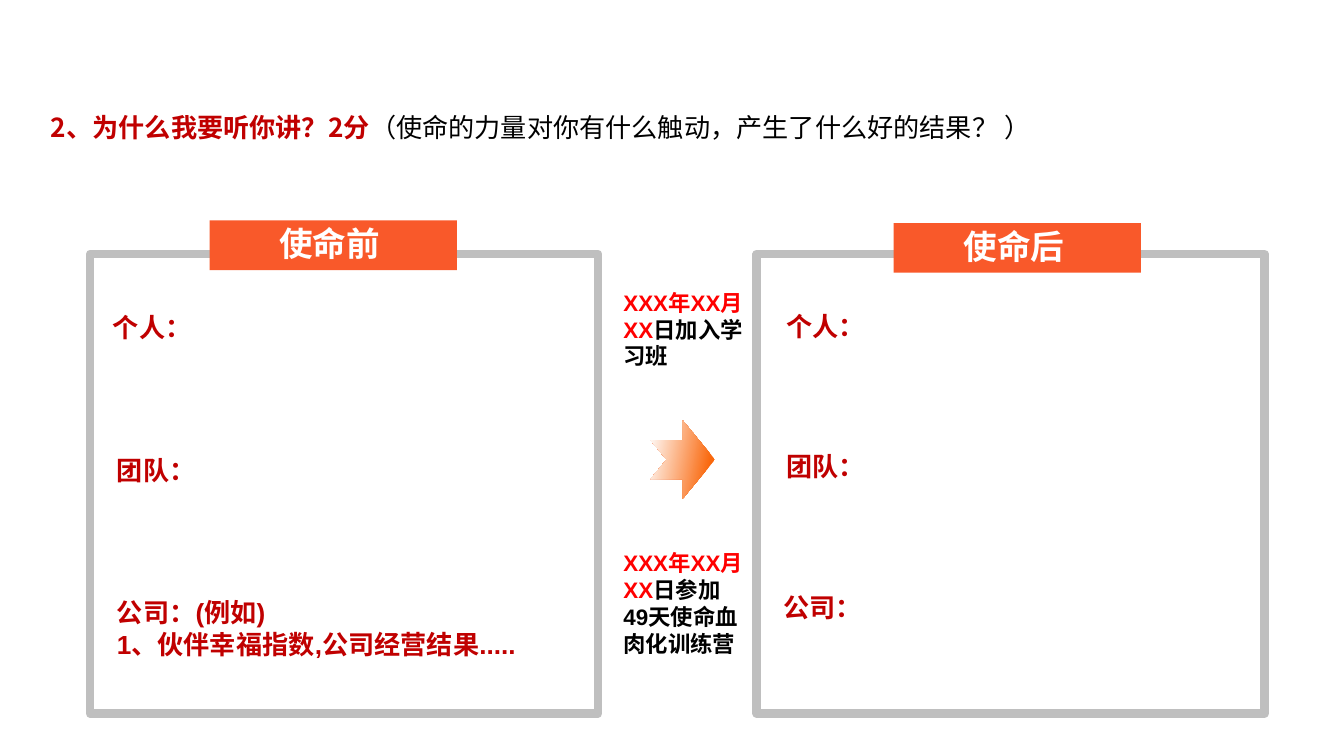
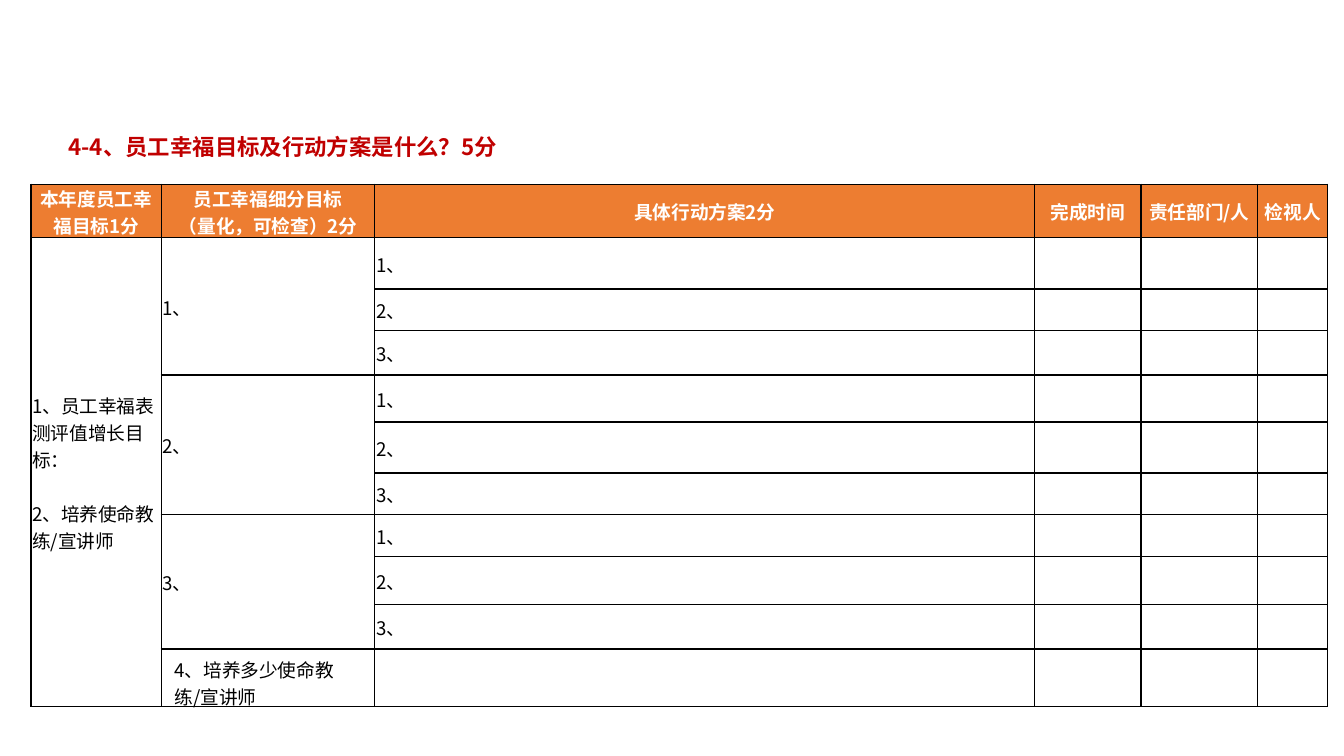
from dataclasses import dataclass, replace
from typing import NamedTuple

from lxml import etree
from pptx import Presentation, util as u
from pptx.dml.color import RGBColor
from pptx.enum import shapes, text
from pptx.oxml import ns

STEP = u.Inches(0.1)
COLUMNS, ROWS = 100, 56.25
SANS, ARIAL = "Noto Sans CJK SC", "Arial"
CRIMSON, RED, BLACK, WHITE = "C00000", "FF0000", "000000", "FFFFFF"
BANNER, FRAME, HEADER, ARROW = "F9592A", "BFBFBF", "ED7D31", "F9680D"
THIN = 0.5


class Box(NamedTuple):
    column: float
    row: float
    columns: float
    rows: float

    def lengths(self) -> list[int]:
        return [round(value * STEP) for value in self]


@dataclass(frozen=True)
class Style:
    size: float
    color: str
    bold: bool = True
    font: str = SANS


class Span(NamedTuple):
    words: str
    style: Style


class Label(NamedTuple):
    box: Box
    lines: list[list[Span]]
    inset: float = 1.0


class Panel(NamedTuple):
    frame: Box
    banner: Box
    title: str


TITLE = Style(14, CRIMSON)
BANNER_TEXT = Style(18, WHITE)
TOPIC = Style(14, CRIMSON, font=ARIAL)
DATE = Style(12, RED, font=ARIAL)
EVENT = replace(DATE, color=BLACK)
HEAD = Style(10, WHITE)
BODY = Style(10, BLACK, bold=False)

PANELS = [
    Panel(Box(6.7, 18.9, 37.8, 34.2), Box(15.6, 16.4, 18.4, 3.7), "使命前"),
    Panel(Box(56.3, 18.9, 37.8, 34.2), Box(66.5, 16.6, 18.4, 3.7), "使命后"),
]
TOPICS = [
    (Box(7.9, 22.7, 35.4, 3.3), ["个人："]),
    (Box(8.2, 33.3, 35.8, 3.3), ["团队："]),
    (Box(8.2, 43.9, 35.4, 8), ["公司：(例如)", "1、伙伴幸福指数,公司经营结果....."]),
    (Box(58, 22.6, 36.1, 3.3), ["个人："]),
    (Box(58, 33, 35.4, 3.3), ["团队："]),
    (Box(57.8, 43.5, 35.4, 3.3), ["公司："]),
]
EVENTS = [
    (Box(45.4, 21, 10.9, 7.1), "日加入学习班"),
    (Box(45.4, 40.4, 10.9, 11.1), "日参加49天使命血肉化训练营"),
]

TABLE_COLUMNS = [9.7, 15.9, 49.1, 7.9, 8.7, 5.2]
TABLE_ROWS = [4, 3.8, 3.1, 3.3, 3.5, 3.8, 3.1, 3.1, 3.6, 3.3, 4.3]
HEADINGS = [
    "本年度员工幸福目标1分",
    "员工幸福细分目标\n（量化，可检查）2分",
    "具体行动方案2分",
    "完成时间",
    "责任部门/人",
    "检视人",
]
GOALS = "1、员工幸福表测评值增长目标：\n2、培养使命教练/宣讲师"
COACHES = "4、培养多少使命教练/宣讲师"
GROUP = 3


def rgb(value: str) -> RGBColor:
    return RGBColor.from_string(value)


def format_run(run, style: Style) -> None:
    font = run.font
    font.size, font.bold, font.name = u.Pt(style.size), style.bold, style.font
    font.color.rgb = rgb(style.color)
    east_asian = etree.SubElement(run._r.get_or_add_rPr(), ns.qn("a:ea"))
    east_asian.set("typeface", SANS)


def write(paragraph, spans: list[Span]) -> None:
    paragraph.text = spans[0].words
    for span in spans[1:]:
        paragraph.add_run().text = span.words
    for run, span in zip(paragraph.runs, spans):
        format_run(run, span.style)


def add_label(container, label: Label):
    frame = container.add_textbox(*label.box.lengths()).text_frame
    frame.word_wrap = True
    frame.auto_size = text.MSO_AUTO_SIZE.SHAPE_TO_FIT_TEXT
    frame.margin_left = frame.margin_right = round(label.inset * STEP)
    frame.margin_top = frame.margin_bottom = round(0.5 * STEP)
    for index, spans in enumerate(label.lines):
        write(frame.add_paragraph() if index else frame.paragraphs[0], spans)
    return frame.paragraphs[0]


def add_plain_shape(container, kind, box: Box):
    shape = container.add_shape(kind, *box.lengths())
    shape.shadow.inherit = False
    shape.line.fill.background()
    return shape


def add_panel(slide, panel: Panel) -> None:
    frame = add_plain_shape(slide.shapes, shapes.MSO_SHAPE.RECTANGLE, panel.frame)
    frame.fill.background()
    frame.line.color.rgb = rgb(FRAME)
    frame.line.width = u.Pt(4.5)
    group = slide.shapes.add_group_shape().shapes
    banner = add_plain_shape(group, shapes.MSO_SHAPE.RECTANGLE, panel.banner)
    banner.fill.solid()
    banner.fill.fore_color.rgb = rgb(BANNER)
    caption = Box(panel.banner.column + 4.2, panel.banner.row - 0.3, 14.9, 4)
    add_label(group, Label(caption, [[Span(panel.title, BANNER_TEXT)]]))


def add_arrow(slide, box: Box) -> None:
    arrow = add_plain_shape(slide.shapes, shapes.MSO_SHAPE.NOTCHED_RIGHT_ARROW, box)
    arrow.element.spPr.xfrm.set("flipV", "1")
    arrow.fill.gradient()
    arrow.fill.gradient_angle = 190
    stops = [(0.14, ARROW), (1, WHITE)]
    for stop, (position, color) in zip(arrow.fill.gradient_stops, stops):
        stop.position = position
        stop.color.rgb = rgb(color)


def add_borders(cell) -> None:
    properties = cell._tc.get_or_add_tcPr()
    for index, side in enumerate(("lnL", "lnR", "lnT", "lnB")):
        line = etree.Element(ns.qn(f"a:{side}"), w=str(u.Pt(0.75)))
        fill = etree.SubElement(line, ns.qn("a:solidFill"))
        etree.SubElement(fill, ns.qn("a:srgbClr"), val=BLACK)
        properties.insert(index, line)


def fill_cell(cell, words: str, style: Style) -> None:
    cell.margin_left = cell.margin_right = cell.margin_top = u.Inches(0.01)
    cell.margin_bottom = 0
    cell.vertical_anchor = text.MSO_ANCHOR.MIDDLE
    if style is HEAD:
        cell.fill.solid()
        cell.fill.fore_color.rgb = rgb(HEADER)
    else:
        cell.fill.background()
    add_borders(cell)
    frame = cell.text_frame
    frame.text = words
    for index, paragraph in enumerate(frame.paragraphs):
        if style is HEAD:
            paragraph.alignment = text.PP_ALIGN.CENTER
        elif index:
            paragraph.space_before = u.Pt(14.5)
        for run in paragraph.runs:
            format_run(run, style)
        if not paragraph.runs:
            end = etree.SubElement(paragraph._p, ns.qn("a:endParaRPr"))
            end.set("sz", str(style.size * 100))


def body_words(row: int, column: int) -> str:
    group, item = divmod(row - 1, GROUP)
    last = row == len(TABLE_ROWS) - 1
    if column == 0:
        return GOALS if row == 1 else ""
    if column == 1:
        if last:
            return COACHES
        return f"{group + 1}、" if item == 0 else ""
    return f"{item + 1}、" if column == 2 and not last else ""


def add_plan_table(slide) -> None:
    box = Box(2.3, 13.7, sum(TABLE_COLUMNS), sum(TABLE_ROWS))
    size = len(TABLE_ROWS), len(TABLE_COLUMNS)
    table = slide.shapes.add_table(*size, *box.lengths()).table
    table.first_row = table.horz_banding = False
    for column, width in zip(table.columns, TABLE_COLUMNS):
        column.width = round(width * STEP)
    for row, height in zip(table.rows, TABLE_ROWS):
        row.height = round(height * STEP)
    for row in range(size[0]):
        for column in range(size[1]):
            words = body_words(row, column) if row else HEADINGS[column]
            fill_cell(table.cell(row, column), words, BODY if row else HEAD)
    last = size[0] - 1
    table.cell(1, 0).merge(table.cell(last, 0))
    for first in range(1, last, GROUP):
        table.cell(first, 1).merge(table.cell(first + GROUP - 1, 1))
    coaches = table.cell(last, 1)
    coaches.vertical_anchor = text.MSO_ANCHOR.TOP
    coaches.margin_left = coaches.margin_right = STEP
    coaches.margin_top = round(THIN * STEP)


def build_mission_slide(slide) -> None:
    title = [
        Span("2、为什么我要听你讲？2分", TITLE),
        Span("（使命的力量对你有什么触动，产生了什么好的结果？ ）",
             replace(TITLE, color=BLACK, bold=False)),
    ]
    add_label(slide.shapes, Label(Box(2.8, 7.6, 92.1, 4), [title])).line_spacing = 1.1
    for panel in PANELS:
        add_panel(slide, panel)
    add_arrow(slide, Box(48.4, 31.3, 4.8, 5.8))
    for box, lines in TOPICS:
        spans = [[Span(line, TOPIC)] for line in lines]
        add_label(slide.shapes, Label(box, spans, THIN))
    for box, event in EVENTS:
        spans = [Span("XXX年XX月XX", DATE), Span(event, EVENT)]
        add_label(slide.shapes, Label(box, [spans]))


def build_plan_slide(slide) -> None:
    title = Span("4-4、员工幸福目标及行动方案是什么？5分", replace(TITLE, size=12))
    paragraph = add_label(slide.shapes, Label(Box(4.6, 8.4, 50, 4), [[title]], THIN))
    paragraph.alignment = text.PP_ALIGN.JUSTIFY
    paragraph.line_spacing = 1.5
    properties = paragraph._p.get_or_add_pPr()
    properties.set("marL", str(u.Inches(0.38)))
    properties.set("indent", str(-u.Inches(0.38)))
    add_plan_table(slide)


def main() -> None:
    presentation = Presentation()
    presentation.slide_width = COLUMNS * STEP
    presentation.slide_height = round(ROWS * STEP)
    for build in (build_mission_slide, build_plan_slide):
        build(presentation.slides.add_slide(presentation.slide_layouts[6]))
    presentation.save("out.pptx")


if __name__ == "__main__":
    main()
